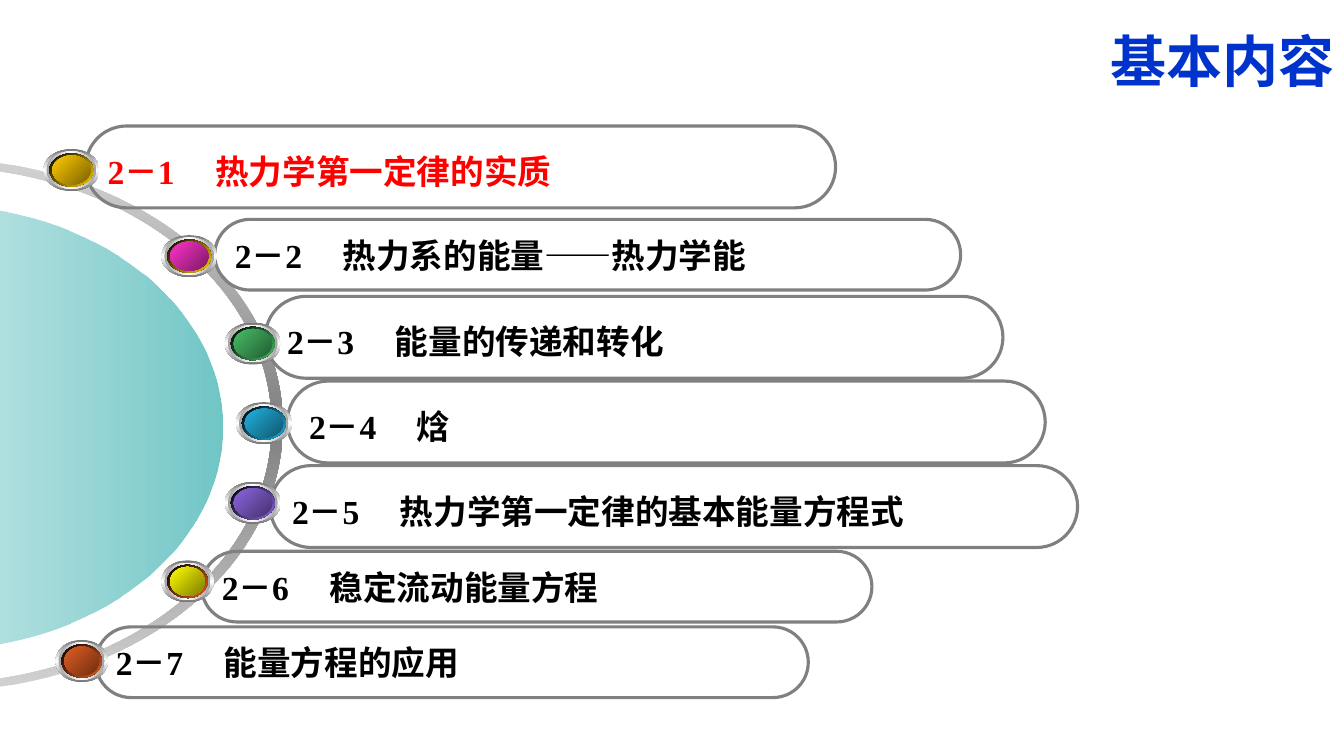
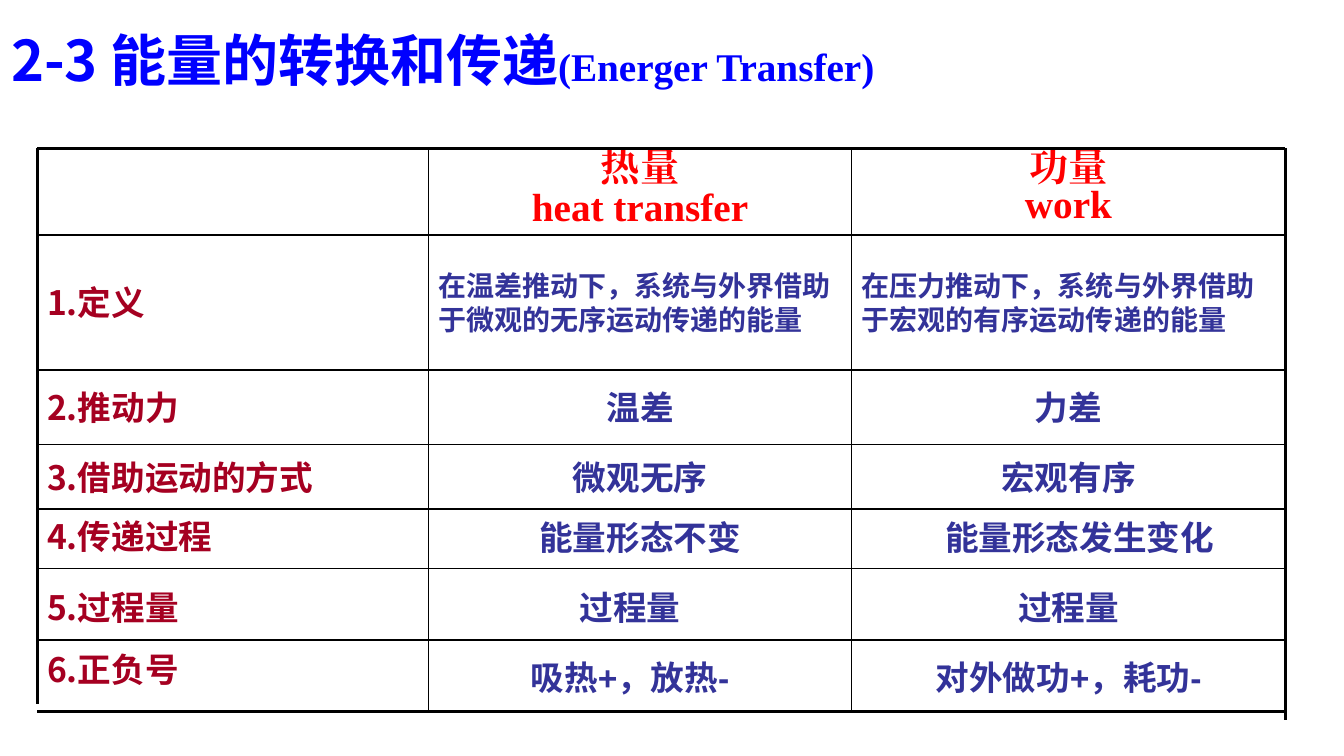
from copy import deepcopy

from lxml.etree import SubElement
from pptx import Presentation
from pptx.dml.color import RGBColor
from pptx.enum.shapes import MSO_CONNECTOR, MSO_SHAPE
from pptx.enum.text import MSO_ANCHOR, MSO_AUTO_SIZE, PP_ALIGN
from pptx.oxml.ns import qn
from pptx.util import Pt

COLORS = {
    "black": "000000", "white": "FFFFFF", "red": "FF0000", "gray": "808080",
    "silver": "D2D2D2", "steel": "767676", "ash": "A2A2A2", "teal": "009999",
    "navy": "0033CC", "blue": "0000FF", "indigo": "333399", "maroon": "A50021",
    "gold": "FFCC00", "dark gold": "7C6300", "pink": "FF33CC", "plum": "7C1963",
    "green": "48BE67", "forest": "235C32", "sky": "21B3E1", "ocean": "10576D",
    "violet": "8D67E1", "grape": "45326D", "yellow": "FFFF00", "olive": "7C7C00",
    "orange": "E35E23", "brown": "6E2E11",
}
SANS, SERIF, CHINESE = "Arial", "Times New Roman", "Noto Sans CJK SC"
LEFT, CENTER, RIGHT = PP_ALIGN.LEFT, PP_ALIGN.CENTER, PP_ALIGN.RIGHT
TITLE_ONLY = 5
BEND = 0.5523  # handle length of a cubic quarter ellipse


def color(name):
    """Return the named colour."""
    return RGBColor.from_string(COLORS[name])


def write(para, text, font=SANS, size=24, ink="black", align=LEFT, spacing=None,
          before=0, tab=None, east=None):
    """Add a bold span to a paragraph and format both."""
    para.alignment = align
    if spacing:
        para.line_spacing = spacing
    if before:
        para.space_before = Pt(before * size)
    if tab:
        stops = SubElement(para._p.get_or_add_pPr(), qn("a:tabLst"))
        SubElement(stops, qn("a:tab"), pos=str(Pt(tab)), algn="l")
    span = para.add_run()
    span.text = text
    span.font.name, span.font.size, span.font.bold = font, Pt(size), True
    span.font.color.rgb = color(ink)
    SubElement(span._r.get_or_add_rPr(), qn("a:ea"), typeface=east or font)


def bend(segment, start, end, upward):
    """Turn a straight path segment into a quarter ellipse."""
    across, down = end[0] - start[0], end[1] - start[1]
    if upward:
        handles = (start[0], start[1] + BEND * down), (end[0] - BEND * across, end[1])
    else:
        handles = (start[0] + BEND * across, start[1]), (end[0], end[1] - BEND * down)
    segment.tag = qn("a:cubicBezTo")
    for index, (x, y) in enumerate(handles):
        point = deepcopy(segment[-1])
        point.set("x", str(round(x)))
        point.set("y", str(round(y)))
        segment.insert(index, point)


class Painter:
    """Holds the deck's style and draws on the current slide."""

    def __init__(self):
        """Start a wide deck."""
        self.deck = Presentation()
        self.deck.slide_width, self.deck.slide_height = Pt(960), Pt(540)
        self.page = None

    def add_page(self):
        """Start a new slide."""
        self.page = self.deck.slides.add_slide(self.deck.slide_layouts[TITLE_ONLY])

    def title(self, left, top, width, height, anchor, inset=7.2):
        """Place the title and return its paragraph."""
        box = self.page.shapes.title
        box.left, box.top, box.width, box.height = map(Pt, (left, top, width, height))
        frame = box.text_frame
        frame.auto_size, frame.vertical_anchor = MSO_AUTO_SIZE.NONE, anchor
        frame.margin_left = frame.margin_right = Pt(inset)
        return frame.paragraphs[0]

    def text(self, left, top, width, height, lines, **style):
        """Add a text box with one paragraph for each line."""
        box = self.page.shapes.add_textbox(*map(Pt, (left, top, width, height)))
        frame = box.text_frame
        frame.word_wrap, frame.vertical_anchor = True, MSO_ANCHOR.MIDDLE
        for index, line in enumerate(lines.split("\n")):
            para = frame.add_paragraph() if index else frame.paragraphs[0]
            write(para, line, before=0.2, **style)

    def line(self, start, end, heavy):
        """Draw a black rule between two points."""
        rule = self.page.shapes.add_connector(MSO_CONNECTOR.STRAIGHT, *map(Pt, start + end))
        rule.line.color.rgb = color("black")
        rule.line.width = Pt(2.25 if heavy else 1)
        SubElement(rule._element.spPr, qn("a:effectLst"))

    def shade(self, shape, names, angle, alphas=()):
        """Give a shape a clockwise gradient of evenly spaced colours and no outline."""
        shape.shadow.inherit = False
        shape.line.fill.background()
        shape.fill.gradient()
        shape.fill.gradient_angle = (360 - angle) % 360
        stops = shape._element.find(".//" + qn("a:gsLst"))
        while len(stops) < len(names):
            stops.append(deepcopy(stops[0]))
        for index, stop in enumerate(shape.fill.gradient_stops):
            stop.position = index / (len(names) - 1)
            stop.color.rgb = color(names[index])
        for stop, alpha in zip(stops, alphas):
            SubElement(stop[0], qn("a:alpha"), val=str(alpha * 1000))

    def arch(self, left, top, width, height, rise, names, angle, alphas=(), band=None):
        """Draw a half ellipse, or a band along it, turned to face right."""
        middle, base = left + width / 2, top + rise
        points = [(left, base), (middle, top), (left + width, base)]
        if band:
            side, crown = band
            points += [(left + width - side, base), (middle, top + crown), (left + side, base)]
        builder = self.page.shapes.build_freeform(*map(Pt, points[0]), scale=1)
        builder.add_line_segments([tuple(map(Pt, point)) for point in points[1:]], close=True)
        shape = builder.convert_to_shape()
        local = [(Pt(x - left), Pt(y - top)) for x, y in points]
        segments = shape._element.findall(".//" + qn("a:lnTo"))
        for index in (0, 1, 3, 4)[:4 if band else 2]:
            bend(segments[index], local[index], local[index + 1], index in (0, 3))
        shape._element.find(".//" + qn("a:path")).set("h", str(Pt(height)))
        shape.height = Pt(height)
        shape.rotation = 90
        self.shade(shape, names, angle, alphas)

    def pill(self, left, top, width, height, text, ink, spacing):
        """Draw a rounded outline with a chapter entry."""
        pill = self.page.shapes.add_shape(
            MSO_SHAPE.ROUNDED_RECTANGLE, *map(Pt, (left, top, width, height)))
        pill.adjustments[0] = 0.5
        pill.shadow.inherit = False
        pill.fill.background()
        pill.line.color.rgb, pill.line.width = color("gray"), Pt(2.25)
        pill.text_frame.word_wrap = True
        pill.text_frame.vertical_anchor = MSO_ANCHOR.MIDDLE
        write(pill.text_frame.paragraphs[0], text, SERIF, ink=ink, spacing=spacing,
              tab=77, east=CHINESE)

    def knob(self, left, top, width, rim, light, dark):
        """Draw a metal ring with a coloured core as one group."""
        group = self.page.shapes.add_group_shape()
        layers = [
            (0, 0, ("steel", "white", "steel"), 90),
            (2.2, 1.6, ("ash", "white", "ash"), 0),
            (4.3, 3.1, ("black", rim), 45),
            (6.3, 4.6, (light, dark), 45),
        ]
        for across, down, names, angle in layers:
            oval = group.shapes.add_shape(
                MSO_SHAPE.OVAL, Pt(left + across), Pt(top + down),
                Pt(width - 2 * across), Pt(30 - 2 * down))
            self.shade(oval, names, angle)


# left, top, width, height, text; knob left, top, width, rim, light, dark
CHAPTERS = [
    ((61.2, 90, 535.7, 58.5, "2－1\t热力学第一定律的实质"),
     (31, 106.5, 40, "gold", "gold", "dark gold")),
    ((153.4, 156.7, 532.8, 50.5, "2－2\t热力系的能量——热力学能"),
     (115.2, 168, 40, "gold", "pink", "plum")),
    ((189.4, 211.7, 527, 58.5, "2－3\t能量的传递和转化"),
     (160.6, 230.4, 40, "green", "green", "forest")),
    ((205.2, 272.2, 541.4, 58.5, "2－4\t焓"),
     (168.5, 287.3, 40, "sky", "sky", "ocean")),
    ((193, 332.6, 576.7, 58.5, "2－5\t热力学第一定律的基本能量方程式"),
     (160.6, 344.2, 40, "violet", "violet", "grape")),
    ((144, 393.8, 478.8, 50.5, "2－6\t稳定流动能量方程"),
     (115.2, 400.3, 37.5, "orange", "yellow", "olive")),
    ((68.4, 447.8, 509, 50.5, "2－7\t能量方程的应用"),
     (39.6, 457.2, 37.5, "orange", "orange", "brown")),
]

COLUMNS = [26.6, 306, 608.4, 918]
RULES = [105.8, 167.8, 264.2, 317.5, 363.6, 406, 457.2, 508.3]
HEADINGS = [("热量\nheat transfer", 0.7), ("功量\nwork", 0.6)]
# top, height, texts, shift of each cell to the right
ROWS = [
    (167.8, 96.5, ("1.定义", "在温差推动下，系统与外界借助于微观的无序运动传递的能量",
                   "在压力推动下，系统与外界借助于宏观的有序运动传递的能量"), (0, 0, 0)),
    (264.2, 53.3, ("2.推动力", "温差", "力差"), (0, 0, 0)),
    (317.5, 46, ("3.借助运动的方式", "微观无序", "宏观有序"), (0, 0, 0)),
    (360.7, 46, ("4.传递过程", "能量形态不变", "能量形态发生变化"), (0, 0, 7.9)),
    (411.8, 44, ("5.过程量", "过程量", "过程量"), (0, -7.2, 0)),
    (457.2, 53.3, ("6.正负号", "吸热+，放热-", "对外做功+，耗功-"), (0, -7.2, 0)),
]
LABEL_LIFTS = {"4.传递过程": 1, "6.正负号": 5.8}


def draw_contents(painter):
    """Draw the chapter list around a half disc."""
    painter.add_page()
    write(painter.title(341.3, 15, 619, 55.5, MSO_ANCHOR.BOTTOM),
          "基本内容", size=40, ink="navy", align=RIGHT, east=CHINESE)
    painter.arch(-238.3, 53.3, 380.2, 500.4, 247, ("silver", "gray", "silver"), 0,
                 band=(5.8, 7.9))
    painter.arch(-205.9, 98.6, 317.5, 412.6, 206.6, ("teal", "white"), 90, alphas=(56, 48))
    for index, (pill, knob) in enumerate(CHAPTERS):
        ink = "black" if index else "red"
        painter.pill(*pill, ink, 1.2 if pill[3] > 55 else None)
    for pill, knob in CHAPTERS:
        painter.knob(*knob)


def draw_comparison(painter):
    """Draw the ruled grid that compares heat and work."""
    painter.add_page()
    heading = painter.title(0, 15, 880.6, 54, MSO_ANCHOR.MIDDLE, inset=7.9)
    write(heading, "2-3 能量的转换和传递", CHINESE, 40, "blue")
    write(heading, "(Energer Transfer)", SERIF, 28, "blue")
    widths = [right - left for left, right in zip(COLUMNS, COLUMNS[1:])]
    for column, (lines, spacing) in enumerate(HEADINGS, 1):
        painter.text(COLUMNS[column], RULES[0], widths[column], RULES[1] - RULES[0], lines,
                     font=SERIF, size=28, ink="red", align=CENTER, spacing=spacing)
    for index, (top, height, texts, shifts) in enumerate(ROWS):
        for left, width, text, shift in zip(COLUMNS, widths, texts, shifts):
            if text == texts[0]:
                style = {"font": CHINESE, "ink": "maroon"}
            elif index == 0:
                style = {"size": 20, "ink": "indigo"}
            else:
                style = {"ink": "indigo", "align": CENTER}
            if left == COLUMNS[0]:
                style = {"font": CHINESE, "ink": "maroon"}
            lift = LABEL_LIFTS.get(text, 0)
            painter.text(left + shift, top - lift, width, height, text, **style)
    for y in RULES:
        painter.line((COLUMNS[0], y), (COLUMNS[-1], y), y in (RULES[0], RULES[-1]))
    bottoms = [502.6, RULES[-1], RULES[-1], 514]
    for x, bottom in zip(COLUMNS, bottoms):
        painter.line((x, RULES[0]), (x, bottom), x in (COLUMNS[0], COLUMNS[-1]))


painter = Painter()
draw_contents(painter)
draw_comparison(painter)
painter.deck.save("out.pptx")
